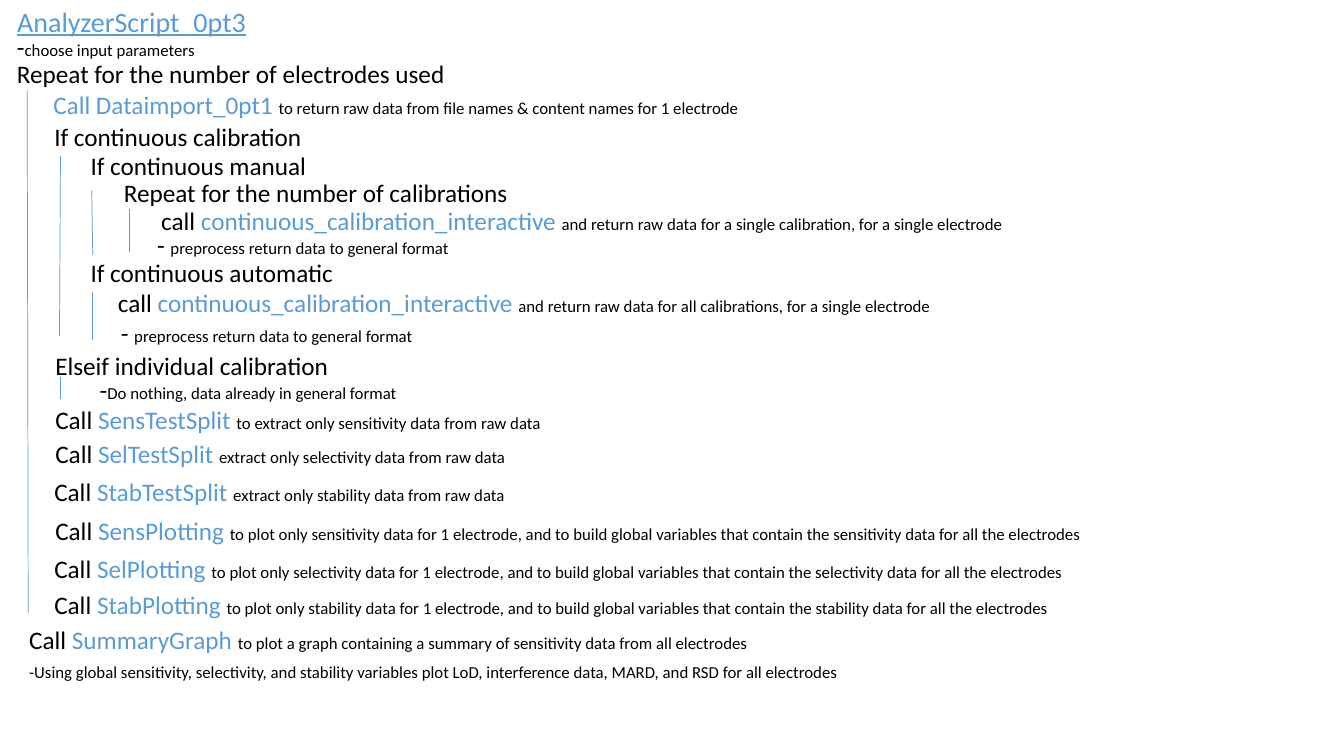
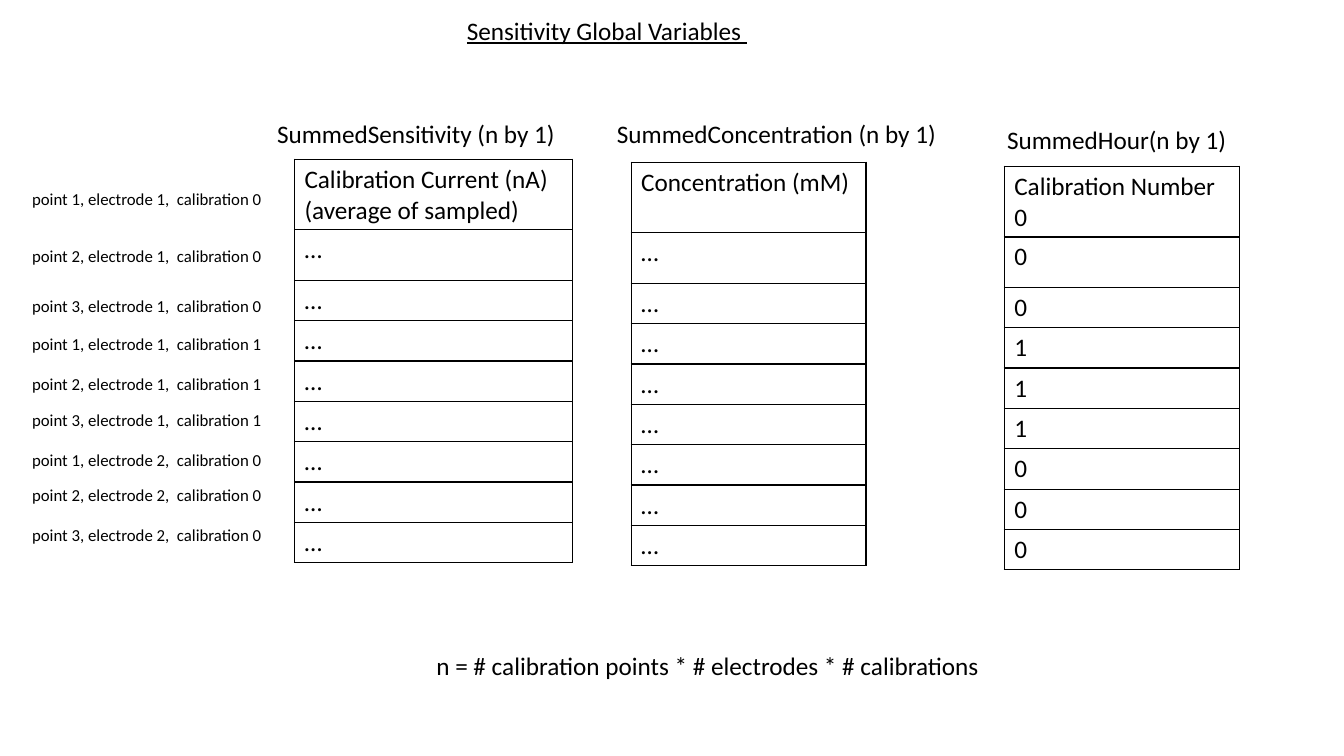
import itertools
from dataclasses import dataclass

import pptx
import pptx.dml.color
import pptx.enum.shapes
import pptx.enum.text
import pptx.oxml
import pptx.oxml.ns
import pptx.util
from pptx.util import Inches


@dataclass(frozen=True)
class Theme:
    font: str = "Calibri"
    ink: str = "000000"
    accent: str = "5B9BD5"
    heading: int = 20
    step: int = 18
    note: int = 12
    guide: float = 0.5
    border: float = 1


THEME = Theme()
STEP = (THEME.step, THEME.ink)
CODE = (THEME.step, THEME.accent)
NOTE = (THEME.note, THEME.ink)
LINE_HEIGHT = 0.4
NOTE_HEIGHT = 0.3

INTERACTIVE = ("continuous_calibration_interactive ", CODE)
PREPROCESS = [("- ", STEP), ("preprocess return data to general format", NOTE)]


def call(function, purpose):
    return [("Call ", STEP), (function + " ", CODE), (purpose, NOTE)]


def plotting(function, measure):
    return call(function, f"to plot only {measure} data for 1 electrode, and to build global variables "
                          f"that contain the {measure} data for all the electrodes")


SCRIPT_TITLE = ("AnalyzerScript_0pt3", (0.07, -0.01, 2.94, 0.44), THEME.heading, THEME.accent)
SCRIPT_STEPS = [
    (0.07, 0.26, 3.6, [("-", STEP), ("choose input parameters", NOTE)]),
    (0.07, 0.53, 4.9, [("Repeat for the number of electrodes used", STEP)]),
    (0.43, 0.84, 8.22, [("Call Dataimport_0pt1 ", CODE),
                        ("to return raw data from file names & content names for 1 electrode", NOTE)]),
    (0.44, 1.15, 2.67, [("If continuous calibration", STEP)]),
    (0.8, 1.44, 2.74, [("If continuous manual", STEP)]),
    (1.13, 1.71, 4.82, [("Repeat for the number of calibrations", STEP)]),
    (1.5, 1.99, 8.83, [("call ", STEP), INTERACTIVE,
                       ("and return raw data for a single calibration, for a single electrode", NOTE)]),
    (1.46, 2.23, 4.56, PREPROCESS),
    (0.8, 2.5, 9.13, [("If continuous automatic", STEP)]),
    (1.07, 2.8, 9.25, [("call ", STEP), INTERACTIVE,
                       ("and return raw data for all calibrations, for a single electrode", NOTE)]),
    (1.1, 3.1, 4.56, PREPROCESS),
    (0.45, 3.43, 3.57, [("Elseif individual calibration", STEP)]),
    (0.89, 3.66, 4.73, [("-", STEP), ("Do nothing, data already in general format", NOTE)]),
    (0.45, 3.96, 5.13, call("SensTestSplit", "to extract only sensitivity data from raw data")),
    (0.45, 4.3, 5.21, call("SelTestSplit", "extract only selectivity data from raw data")),
    (0.44, 4.68, 5.03, call("StabTestSplit", "extract only stability data from raw data")),
    (0.45, 5.06, 10.76, plotting("SensPlotting", "sensitivity")),
    (0.44, 5.44, 10.76, plotting("SelPlotting", "selectivity")),
    (0.44, 5.8, 10.76, plotting("StabPlotting", "stability")),
    (0.19, 6.14, 8.01, call("SummaryGraph",
                            "to plot a graph containing a summary of sensitivity data from all electrodes")),
    (0.19, 6.52, 8.66, [("-Using global sensitivity, selectivity, and stability variables plot LoD, "
                         "interference data, MARD, and RSD for all electrodes", NOTE)]),
]
NESTING_GUIDES = [
    (0.27, 0.9, 0.28, 6.08),
    (0.6, 1.55, 0.59, 3.33),
    (0.91, 1.89, 0.92, 2.53),
    (1.28, 2.07, 1.28, 2.5),
    (0.92, 2.9, 0.92, 3.37),
    (0.6, 3.74, 0.6, 3.96),
]

VARIABLES_TITLE = ("Sensitivity Global Variables ", (4.53, 0.1, 4.13, 0.4), THEME.step, THEME.ink)
ROW_HEIGHTS = [0.7, 0.5] + [0.4] * 7
ELLIPSES = ["…"] * 8
VARIABLE_TABLES = [
    ("SummedSensitivity (n by 1)", (2.65, 1.12, 3.03), (2.92, 1.58, 2.76),
     ["Calibration Current (nA) (average of sampled)"] + ELLIPSES),
    ("SummedConcentration (n by 1)", (6.02, 1.12, 3.62), (6.26, 1.61, 2.33),
     ["Concentration (mM)"] + ELLIPSES),
    ("SummedHour(n by 1)", (9.89, 1.18, 2.85), (9.96, 1.65, 2.33),
     ["Calibration Number\n0"] + list("00111000")),
]
ELECTRODE_CALIBRATIONS = [(1, 0), (1, 1), (2, 0)]
POINTS = [1, 2, 3]
ROW_LABEL_TOPS = [1.82, 2.39, 2.88, 3.26, 3.66, 4.02, 4.41, 4.76, 5.16]
SIZE_RULE = (4.23, 6.4, 5.97, [("n = # calibration points * # electrodes * # calibrations", STEP)])


def style_font(font, size, color):
    font.name = THEME.font
    font.size = pptx.util.Pt(size)
    font.color.rgb = pptx.dml.color.RGBColor.from_string(color)


def add_slide(presentation, title):
    text, box, size, color = title
    slide = presentation.slides.add_slide(presentation.slide_layouts[5])
    shape = slide.shapes.title
    shape.left, shape.top, shape.width, shape.height = map(Inches, box)
    frame = shape.text_frame
    frame.text = text
    frame.auto_size = pptx.enum.text.MSO_AUTO_SIZE.NONE
    frame.vertical_anchor = pptx.enum.text.MSO_ANCHOR.TOP
    paragraph = frame.paragraphs[0]
    paragraph.alignment = pptx.enum.text.PP_ALIGN.LEFT
    style_font(paragraph.font, size, color)
    paragraph.font.underline = True
    return slide


def add_line_of_text(slide, left, top, width, runs, height=LINE_HEIGHT):
    shape = slide.shapes.add_textbox(Inches(left), Inches(top), Inches(width), Inches(height))
    shape.text_frame.word_wrap = True
    paragraph = shape.text_frame.paragraphs[0]
    if len(runs) == 1:
        style_font(paragraph.font, *runs[0][1])
    for text, style in runs:
        run = paragraph.add_run()
        run.text = text
        if len(runs) > 1:
            style_font(run.font, *style)


def add_guide(slide, *ends):
    connector = slide.shapes.add_connector(pptx.enum.shapes.MSO_CONNECTOR.STRAIGHT, *map(Inches, ends))
    connector.line.width = pptx.util.Pt(THEME.guide)
    connector.line.color.rgb = pptx.dml.color.RGBColor.from_string(THEME.accent)
    properties = connector.element.find(pptx.oxml.ns.qn("p:spPr"))
    properties.append(pptx.oxml.parse_xml(f'<a:effectLst {pptx.oxml.ns.nsdecls("a")}/>'))


def outline_cell(cell):
    properties = cell._tc.get_or_add_tcPr()
    for position, side in enumerate("LRTB"):
        properties.insert(position, pptx.oxml.parse_xml(
            f'<a:ln{side} {pptx.oxml.ns.nsdecls("a")} w="{pptx.util.Pt(THEME.border)}">'
            f'<a:solidFill><a:srgbClr val="{THEME.ink}"/></a:solidFill></a:ln{side}>'))


def add_column_table(slide, left, top, width, values):
    table = slide.shapes.add_table(len(values), 1, Inches(left), Inches(top), Inches(width),
                                   Inches(sum(ROW_HEIGHTS))).table
    table.first_row = table.horz_banding = False
    for row, height, value in zip(table.rows, ROW_HEIGHTS, values):
        row.height = Inches(height)
        cell = row.cells[0]
        cell.text = value
        cell.fill.background()
        outline_cell(cell)
        for paragraph in cell.text_frame.paragraphs:
            style_font(paragraph.font, *STEP)


presentation = pptx.Presentation()
presentation.slide_width = Inches(13.33)
presentation.slide_height = Inches(7.5)

script_slide = add_slide(presentation, SCRIPT_TITLE)
for step in SCRIPT_STEPS:
    add_line_of_text(script_slide, *step)
for guide in NESTING_GUIDES:
    add_guide(script_slide, *guide)

variables_slide = add_slide(presentation, VARIABLES_TITLE)
for name, name_box, table_box, values in VARIABLE_TABLES:
    add_line_of_text(variables_slide, *name_box, [(name, STEP)])
    add_column_table(variables_slide, *table_box, values)
row_keys = itertools.product(ELECTRODE_CALIBRATIONS, POINTS)
for top, ((electrode, calibration), point) in zip(ROW_LABEL_TOPS, row_keys):
    label = f"point {point}, electrode {electrode},  calibration {calibration}"
    add_line_of_text(variables_slide, 0.22, top, 2.53, [(label, NOTE)], NOTE_HEIGHT)
add_line_of_text(variables_slide, *SIZE_RULE)

presentation.save("out.pptx")
